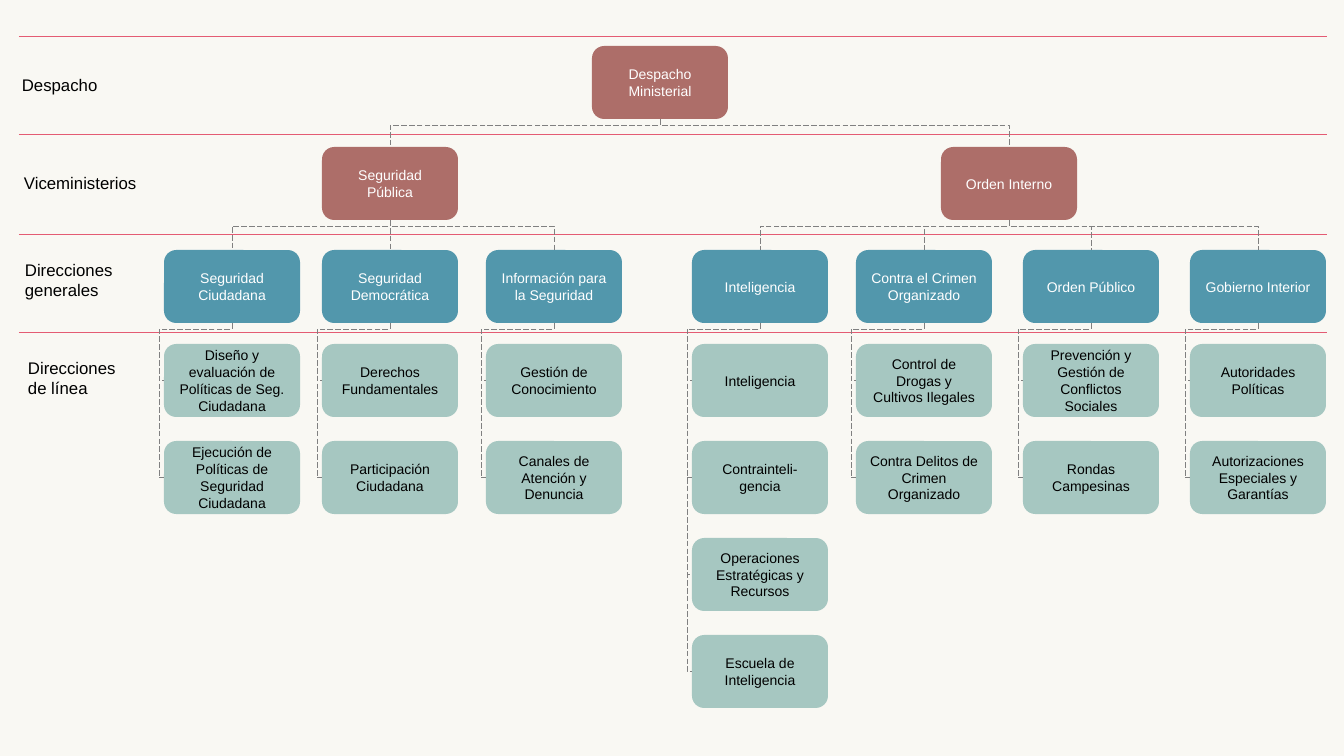
from lxml.etree import SubElement
from pptx import Presentation
from pptx.dml.color import RGBColor
from pptx.enum.dml import MSO_LINE as Dash
from pptx.enum.shapes import MSO_CONNECTOR as Link, MSO_SHAPE as Form
from pptx.enum.text import MSO_ANCHOR as Anchor, MSO_AUTO_SIZE as Fit, PP_ALIGN as Align
from pptx.oxml.ns import qn
from pptx.util import Emu, Pt

COLORS = {"back": "F9F8F3", "top": "AD6E69", "general": "5297AC", "line": "A6C7C1",
          "rule": "E45B73", "link": "808080", "white": "FFFFFF", "black": "000000"}
SCALE = 914400 / 100.8
WIDE, HIGH = 136, 73
DROP, SIDE = 6, 5
TOP, LEFT, BOTTOM = 0, 1, 2  # connection sites of a box


def px(size):
    """Turn pixels into EMU."""
    return Emu(round(size * SCALE))


def color(name):
    """Look up a named colour."""
    return RGBColor.from_string(COLORS[name])


def write(frame, text, size=10, ink="black", align=Align.LEFT, anchor=Anchor.TOP,
          wrap=True, fit=Fit.NONE):
    """Fill a text frame, one paragraph per line of text."""
    frame.word_wrap, frame.auto_size, frame.vertical_anchor = wrap, fit, anchor
    frame.text = text
    for para in frame.paragraphs:
        para.alignment = align
        font = para.runs[0].font
        font.name, font.size, font.color.rgb = "Arial", Pt(size), color(ink)


class Chart:
    """Organisation chart on one slide."""

    def __init__(self, slide):
        """Keep the slide and paint its background."""
        self.slide, self.shapes = slide, slide.shapes
        fill = slide.background.fill
        fill.solid()
        fill.fore_color.rgb = color("back")

    def box(self, text, x, y, fill, ink="white"):
        """Add a rounded unit box."""
        box = self.shapes.add_shape(Form.ROUNDED_RECTANGLE, px(x), px(y), px(WIDE), px(HIGH))
        box.shadow.inherit = False
        box.fill.solid()
        box.fill.fore_color.rgb = color(fill)
        box.line.fill.background()
        write(box.text_frame, text, ink=ink, align=Align.CENTER, anchor=Anchor.MIDDLE)
        return box

    def label(self, text, x, y, w, h):
        """Add the name of a level."""
        area = self.shapes.add_textbox(px(x), px(y), px(w), px(h))
        write(area.text_frame, text, size=12, wrap=False, fit=Fit.SHAPE_TO_FIT_TEXT)

    def stroke(self, kind, ink, *ends):
        """Add a thin connector without shadow."""
        line = self.shapes.add_connector(kind, *map(px, ends))
        line.line.width, line.line.color.rgb = Pt(0.5), color(ink)
        SubElement(line._element.spPr, qn("a:effectLst"))
        return line

    def rule(self, y):
        """Add a line between levels."""
        self.stroke(Link.STRAIGHT, "rule", 19, y, 1327, y)

    def link(self, boss, unit, site):
        """Join the foot of a box to the top or left side of a lower one."""
        x, y = boss.left + boss.width // 2, boss.top + boss.height
        if site == TOP:
            end, foot = unit.left + unit.width // 2, unit.top
        else:
            end, foot = unit.left, unit.top + unit.height // 2
        span, fall = abs(end - x), foot - y
        line = self.stroke(Link.ELBOW, "link", 0, 0, 0, 0)
        line.line.dash_style = Dash.LONG_DASH
        line.begin_connect(boss, BOTTOM)
        line.end_connect(unit, site)
        # The elbow leaves downwards, so its frame is turned a quarter
        line.left, line.top = (x + end - fall) // 2, (y + foot - span) // 2
        line.width, line.height = fall, span
        right = end > x
        frame = line._element.spPr.find(qn("a:xfrm"))
        frame.set("rot", str((270 if right else 90) * 60000))
        frame.set("flipH", str(int(right)))
        frame.set("flipV", "0")
        bends = [px(DROP) / fall]
        if site == LEFT:
            bends.append(1 + px(SIDE) / span)
        form = line._element.spPr.find(qn("a:prstGeom"))
        form.set("prst", f"bentConnector{len(bends) + 2}")
        guides = form.find(qn("a:avLst"))
        if guides is None:
            guides = SubElement(form, qn("a:avLst"))
        for num, bend in enumerate(bends, 1):
            SubElement(guides, qn("a:gd"), name=f"adj{num}", fmla=f"val {round(bend * 100000)}")


LABELS = [("Despacho", 12, 70, 100, 30), ("Viceministerios", 14, 168, 148, 30),
          ("Direcciones\ngenerales", 15, 255, 121, 50),
          ("Direcciones\nde línea", 18, 353, 121, 50)]
TREE = [
    ("Seguridad Pública", 322, [
        ("Seguridad Ciudadana", 164, ["Diseño y evaluación de Políticas de Seg. Ciudadana",
                                      "Ejecución de Políticas de Seguridad Ciudadana"]),
        ("Seguridad Democrática", 322, ["Derechos Fundamentales", "Participación Ciudadana"]),
        ("Información para la Seguridad", 486, ["Gestión de Conocimiento",
                                                "Canales de Atención y Denuncia"])]),
    ("Orden Interno", 941, [
        ("Inteligencia", 692, ["Inteligencia", "Contrainteli-gencia",
                               "Operaciones Estratégicas y Recursos",
                               "Escuela de Inteligencia"]),
        ("Contra el Crimen Organizado", 856, ["Control de Drogas y Cultivos Ilegales",
                                              "Contra Delitos de Crimen Organizado"]),
        ("Orden Público", 1023, ["Prevención y Gestión de Conflictos Sociales",
                                 "Rondas Campesinas"]),
        ("Gobierno Interior", 1190, ["Autoridades Políticas",
                                     "Autorizaciones Especiales y Garantías"])])]

deck = Presentation()
deck.slide_width, deck.slide_height = px(1344), px(756)
chart = Chart(deck.slides.add_slide(deck.slide_layouts[6]))

for y in (36, 134, 234, 332):
    chart.rule(y)
for item in LABELS:
    chart.label(*item)

head = chart.box("Despacho Ministerial", 592, 46, "top")
for name, x, units in TREE:
    vice = chart.box(name, x, 147, "top")
    chart.link(head, vice, TOP)
    for title, left, teams in units:
        unit = chart.box(title, left, 250, "general")
        chart.link(vice, unit, TOP)
        for row, team in enumerate(teams):
            leaf = chart.box(team, left, 344 + row * 97, "line", ink="black")
            chart.link(unit, leaf, LEFT)

deck.save("out.pptx")
